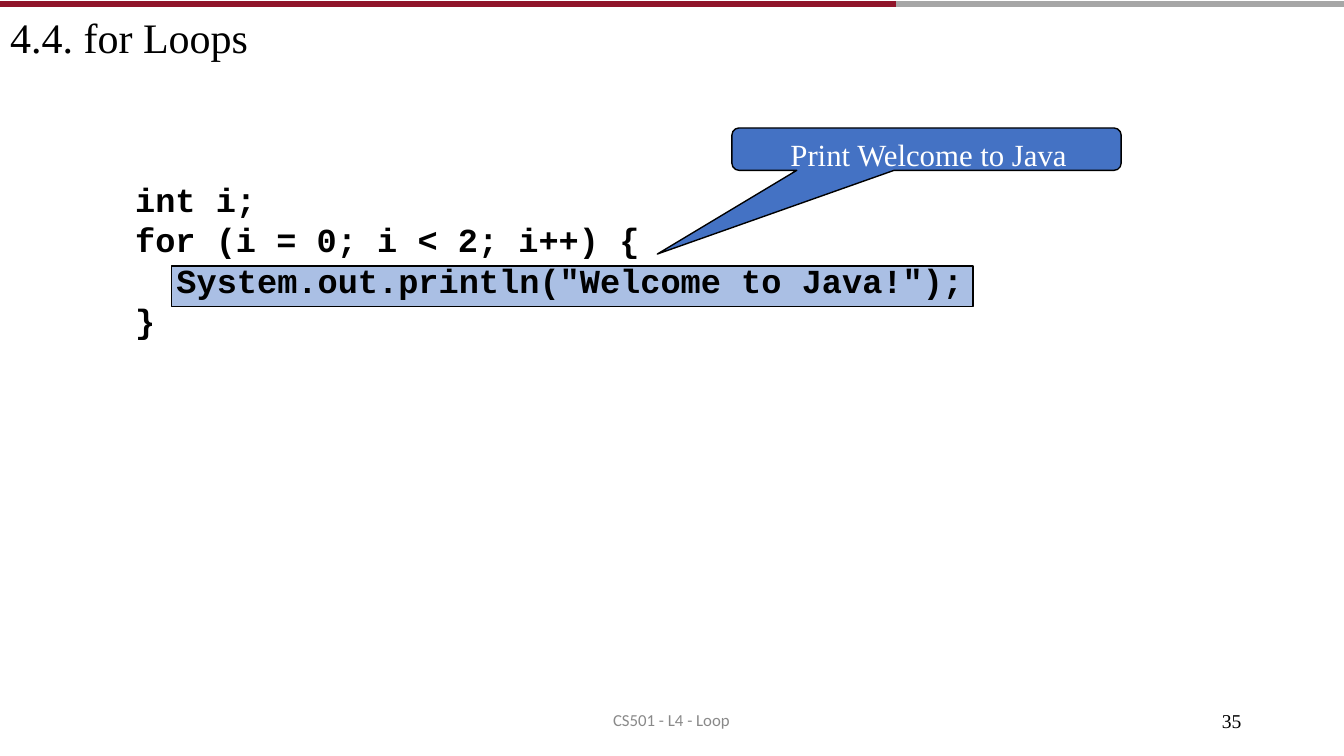
from dataclasses import dataclass

from lxml import etree
from pptx import Presentation
from pptx import util as u
from pptx.dml.color import RGBColor
from pptx.enum import shapes, text
from pptx.oxml import ns


@dataclass(frozen=True)
class Theme:
    black: str = "000000"
    white: str = "FFFFFF"
    blue: str = "4472C4"
    red: str = "90152A"
    silver: str = "A6A6A6"
    grey: str = "898989"
    serif: str = "Times New Roman"
    sans: str = "Calibri"
    mono: str = "Courier New"
    title_size: float = 30
    code_size: float = 24
    callout_size: float = 22
    number_size: float = 14
    footer_size: float = 12


@dataclass(frozen=True)
class Box:
    """An area in percent of the slide's width and height."""
    left: float
    top: float
    width: float
    height: float


@dataclass(frozen=True)
class Rule:
    start: float
    end: float
    color: str


@dataclass(frozen=True)
class Label:
    box: Box
    words: str
    format: dict


THEME = Theme()
CODE = dict(font=THEME.mono, size=THEME.code_size, bold=True)

TITLE_BOX = Box(0.68, 1.33, 18.5, 7.07)
CODE_BOX = Box(9.98, 23.67, 42, 11.4)
HIGHLIGHT_BOX = Box(12.75, 35.2, 59.64, 5.33)
CALLOUT_BOX = Box(54.46, 16.93, 28.96, 5.6)
CALLOUT_TIP = (48.91, 33.6)
RULE_TOP = 0.53
RULES = [Rule(66.67, 100, THEME.silver), Rule(0, 66.67, THEME.red)]
LABELS = [
    Label(Box(9.98, 39.6, 1.73, 5.73), "}", dict(CODE, left=0.01, top=0.01)),
    Label(Box(45.54, 93.73, 9.5, 3.07), "CS501 - L4 - Loop",
          dict(font=THEME.sans, size=THEME.footer_size, color=THEME.grey, left=0.01, top=0.01)),
    Label(Box(90.62, 93.87, 2.18, 3.2), "35",
          dict(font=THEME.serif, size=THEME.number_size, left=0.04, line_spacing=16.3)),
]

presentation = Presentation()
presentation.slide_width = u.Inches(13.33)
presentation.slide_height = u.Inches(7.5)
slide = presentation.slides.add_slide(presentation.slide_layouts[1])


def across(percent: float) -> int:
    return round(presentation.slide_width * percent / 100)


def down(percent: float) -> int:
    return round(presentation.slide_height * percent / 100)


def frame(box: Box) -> tuple[int, int, int, int]:
    return across(box.left), down(box.top), across(box.width), down(box.height)


def place(shape, box: Box) -> None:
    shape.left, shape.top, shape.width, shape.height = frame(box)


def write(shape, words: str, *, font: str, size: float, color: str = THEME.black,
          bold: bool = False, align=text.PP_ALIGN.LEFT, left: float = 0, top: float = 0,
          line_spacing: float | None = None) -> None:
    """Fill a shape with one paragraph per line of words; insets are in inches."""
    text_frame = shape.text_frame
    text_frame.word_wrap = True
    text_frame.auto_size = text.MSO_AUTO_SIZE.NONE
    text_frame.vertical_anchor = text.MSO_ANCHOR.TOP
    text_frame.margin_left, text_frame.margin_top = u.Inches(left), u.Inches(top)
    text_frame.margin_right = text_frame.margin_bottom = 0
    text_frame.text = words
    for paragraph in text_frame.paragraphs:
        properties = paragraph._p.get_or_add_pPr()
        properties.set("marL", "0")
        properties.set("indent", "0")
        etree.SubElement(properties, ns.qn("a:buNone"))
        paragraph.alignment = align
        paragraph.space_before = u.Pt(0)
        if line_spacing:
            paragraph.line_spacing = u.Pt(line_spacing)
        paragraph.font.name = font
        paragraph.font.size = u.Pt(size)
        paragraph.font.bold = bold
        paragraph.font.color.rgb = RGBColor.from_string(color)


def add_filled(kind: shapes.MSO_SHAPE, box: Box, opacity: int = 100):
    """Add a blue shape with a thin black outline."""
    shape = slide.shapes.add_shape(kind, *frame(box))
    shape.shadow.inherit = False
    shape.fill.solid()
    shape.fill.fore_color.rgb = RGBColor.from_string(THEME.blue)
    if opacity < 100:
        color = shape.fill._xPr.find(".//" + ns.qn("a:srgbClr"))
        etree.SubElement(color, ns.qn("a:alpha"), val=str(opacity * 1000))
    shape.line.color.rgb = RGBColor.from_string(THEME.black)
    shape.line.width = u.Pt(1)
    return shape


def add_rule(rule: Rule) -> None:
    line = slide.shapes.add_connector(shapes.MSO_CONNECTOR.STRAIGHT, across(rule.start),
                                      down(RULE_TOP), across(rule.end), down(RULE_TOP))
    line.line.color.rgb = RGBColor.from_string(rule.color)
    line.line.width = u.Pt(4)
    etree.SubElement(line._element.spPr, ns.qn("a:effectLst"))


def add_callout(words: str, box: Box, tip: tuple[float, float]) -> None:
    """Add a rounded callout whose tail ends at the tip."""
    callout = add_filled(shapes.MSO_SHAPE.ROUNDED_RECTANGULAR_CALLOUT, box)
    callout.adjustments[0] = (tip[0] - box.left) / box.width - 0.5
    callout.adjustments[1] = (tip[1] - box.top) / box.height - 0.5
    write(callout, words, font=THEME.serif, size=THEME.callout_size, color=THEME.white,
          align=text.PP_ALIGN.CENTER, left=0.04, top=0.06)


def main() -> None:
    title, code = slide.placeholders
    place(title, TITLE_BOX)
    write(title, "4.4. for Loops", font=THEME.serif, size=THEME.title_size, left=0.01, top=0.01)
    place(code, CODE_BOX)
    write(code, "int i;\nfor (i = 0; i < 2; i++) {", left=0.01, **CODE)

    add_callout("Print Welcome to Java", CALLOUT_BOX, CALLOUT_TIP)
    for rule in RULES:
        add_rule(rule)
    highlight = add_filled(shapes.MSO_SHAPE.RECTANGLE, HIGHLIGHT_BOX, opacity=45)
    write(highlight, 'System.out.println("Welcome to Java!");', left=0.05,
          line_spacing=24.2, **CODE)
    for label in LABELS:
        write(slide.shapes.add_textbox(*frame(label.box)), label.words, **label.format)

    presentation.save("out.pptx")


if __name__ == "__main__":
    main()
